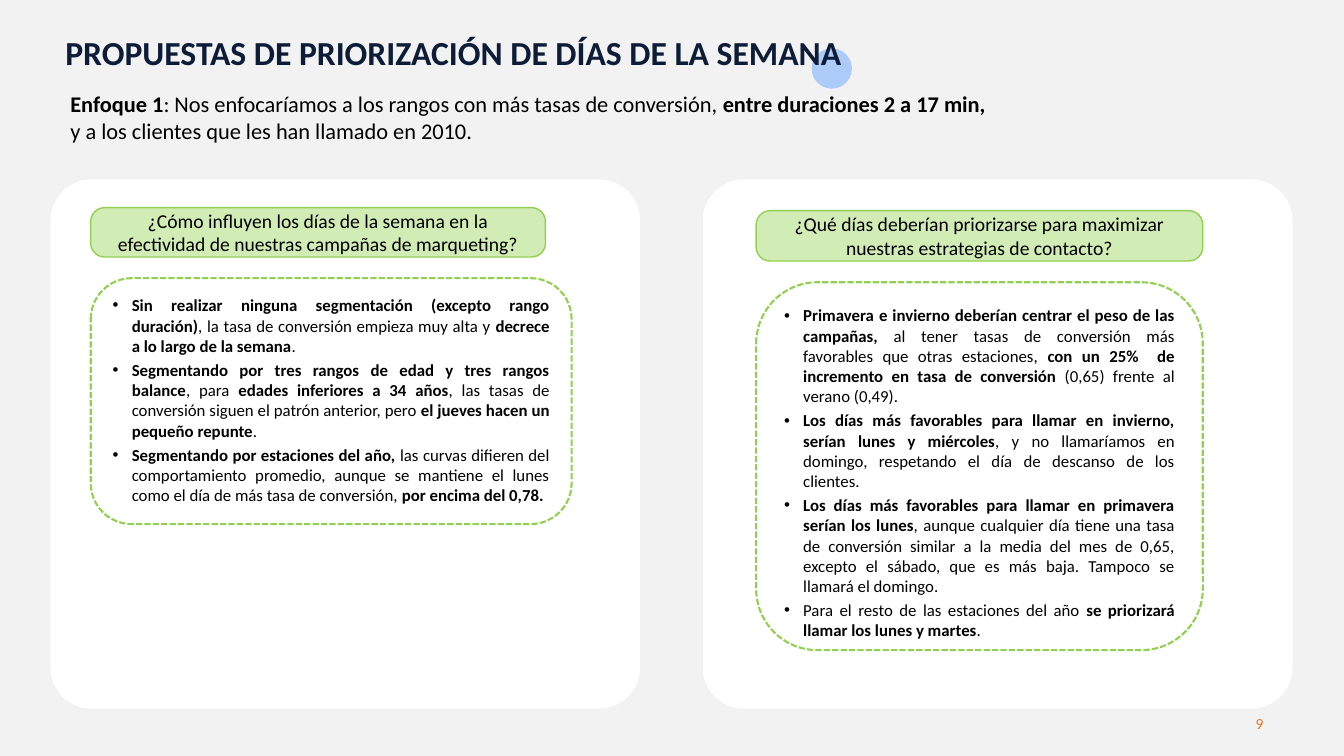
from dataclasses import dataclass

from lxml.etree import SubElement
from pptx import Presentation
from pptx.dml.color import RGBColor
from pptx.enum.dml import MSO_LINE_DASH_STYLE as Dash
from pptx.enum.shapes import MSO_SHAPE as Shape
from pptx.enum.text import MSO_ANCHOR as Anchor, PP_ALIGN as Align
from pptx.oxml.ns import qn
from pptx.util import Inches, Pt

FONT = "Calibri"
BLACK, WHITE, GREY = "000000", "FFFFFF", "F2F2F2"
NAVY, BLUE, ORANGE = "0D1D38", "ACCBF9", "FA6F1A"
GREEN, PALE_GREEN = "92D050", "D2ECB6"
BULLET_INDENT = 0.19


@dataclass(frozen=True)
class Box:
    left: float
    top: float
    width: float
    height: float

    def lengths(self) -> list:
        return [Inches(value) for value in (self.left, self.top, self.width, self.height)]


@dataclass(frozen=True)
class Column:
    panel: Box
    question_box: Box
    question: str
    answer_box: Box
    answers: list[str]


COLUMNS = [
    Column(
        Box(0.5, 1.78, 5.85, 5.25),
        Box(0.9, 2.06, 4.51, 0.49),
        "¿Cómo influyen los días de la semana en la efectividad de nuestras campañas de marqueting?",
        Box(0.9, 2.76, 4.77, 2.44),
        [
            "**Sin realizar ninguna segmentación (excepto rango duración)**, la tasa de conversión "
            "empieza muy alta y **decrece a lo largo de la semana**.",
            "**Segmentando por tres rangos de edad y tres rangos balance**, para **edades inferiores "
            "a 34 años**, las tasas de conversión siguen el patrón anterior, pero **el jueves hacen "
            "un pequeño repunte**.",
            "**Segmentando por estaciones del año, **las curvas difieren del comportamiento promedio, "
            "aunque se mantiene el lunes como el día de más tasa de conversión, "
            "**por encima del 0,78.**",
        ],
    ),
    Column(
        Box(6.97, 1.78, 5.85, 5.25),
        Box(7.5, 2.09, 4.43, 0.5),
        "¿Qué días deberían priorizarse para maximizar nuestras estrategias de contacto?",
        Box(7.5, 2.8, 4.43, 3.65),
        [
            "**Primavera e invierno deberían centrar el peso de las campañas, **al tener tasas de "
            "conversión más favorables que otras estaciones, **con un 25%  de incremento en tasa de "
            "conversión** (0,65) frente al verano (0,49).",
            "**Los días más favorables para llamar en invierno, serían lunes y miércoles**, y no "
            "llamaríamos en domingo, respetando el día de descanso de los clientes.",
            "**Los días más favorables para llamar en primavera serían los lunes**, aunque cualquier "
            "día tiene una tasa de conversión similar a la media del mes de 0,65, excepto el sábado, "
            "que es más baja. Tampoco se llamará el domingo.",
            "Para el resto de las estaciones del año **se priorizará llamar los lunes y martes**.",
        ],
    ),
]


def color(value: str) -> RGBColor:
    return RGBColor.from_string(value)


def add_bullet(paragraph) -> None:
    properties = paragraph._p.get_or_add_pPr()
    properties.set("marL", str(Inches(BULLET_INDENT)))
    properties.set("indent", str(-Inches(BULLET_INDENT)))
    SubElement(properties, qn("a:buFont")).set("typeface", "Arial")
    SubElement(properties, qn("a:buChar")).set("char", "•")


def write(shape, texts: list[str], *, size: float, ink: str = BLACK, align=Align.LEFT,
          anchor=Anchor.TOP, space_before: float = 0, bullets: bool = False) -> None:
    frame = shape.text_frame
    frame.word_wrap = True
    frame.vertical_anchor = anchor
    for index, text in enumerate(texts):
        paragraph = frame.add_paragraph() if index else frame.paragraphs[0]
        paragraph.alignment = align
        paragraph.space_before = Pt(space_before)
        if bullets:
            add_bullet(paragraph)
        for position, part in enumerate(text.split("**")):
            if part:
                run = paragraph.add_run()
                run.text = part
                run.font.name = FONT
                run.font.size = Pt(size)
                run.font.bold = position % 2 == 1
                run.font.color.rgb = color(ink)


def add_shape(slide, kind, box: Box, *, fill: str | None = None, line: str | None = None,
              line_width: float = 1, dash=None, corner: float | None = None):
    shape = slide.shapes.add_shape(kind, *box.lengths())
    shape.shadow.inherit = False
    if fill:
        shape.fill.solid()
        shape.fill.fore_color.rgb = color(fill)
    else:
        shape.fill.background()
    if line:
        shape.line.color.rgb = color(line)
        shape.line.width = Pt(line_width)
        if dash:
            shape.line.dash_style = dash
    else:
        shape.line.fill.background()
    if corner is not None:
        shape.adjustments[0] = corner
    return shape


def add_text(slide, box: Box, texts: list[str], **text_format) -> None:
    write(slide.shapes.add_textbox(*box.lengths()), texts, **text_format)


def add_column(slide, column: Column) -> None:
    add_shape(slide, Shape.ROUNDED_RECTANGLE, column.panel, fill=WHITE, corner=0.078)
    question = add_shape(slide, Shape.ROUNDED_RECTANGLE, column.question_box,
                         fill=PALE_GREEN, line=GREEN, corner=0.279)
    write(question, [column.question], size=14, align=Align.CENTER, anchor=Anchor.MIDDLE)
    answer = add_shape(slide, Shape.ROUNDED_RECTANGLE, column.answer_box,
                       line=GREEN, line_width=1.5, dash=Dash.SQUARE_DOT)
    write(answer, column.answers, size=12, align=Align.JUSTIFY, space_before=3, bullets=True)


def main() -> None:
    presentation = Presentation()
    presentation.slide_width = Inches(13.33)
    presentation.slide_height = Inches(7.5)
    slide = presentation.slides.add_slide(presentation.slide_layouts[6])
    slide.background.fill.solid()
    slide.background.fill.fore_color.rgb = color(GREY)

    add_text(slide, Box(9.63, 6.98, 3, 0.4), ["9"], size=11, ink=ORANGE,
             align=Align.RIGHT, anchor=Anchor.MIDDLE)
    add_shape(slide, Shape.OVAL, Box(8.05, 0.48, 0.4, 0.4), fill=BLUE)
    add_text(slide, Box(0.55, 0.27, 12.28, 0.77),
             ["**PROPUESTAS DE PRIORIZACIÓN DE DÍAS DE LA SEMANA**"], size=24, ink=NAVY)
    add_text(slide, Box(0.6, 0.85, 12.23, 0.64), [
        "**Enfoque 1**: Nos enfocaríamos a los rangos con más tasas de conversión, "
        "**entre duraciones 2 a 17 min,**",
        "y a los clientes que les han llamado en 2010.",
    ], size=16)
    for column in COLUMNS:
        add_column(slide, column)
    presentation.save("out.pptx")


if __name__ == "__main__":
    main()
